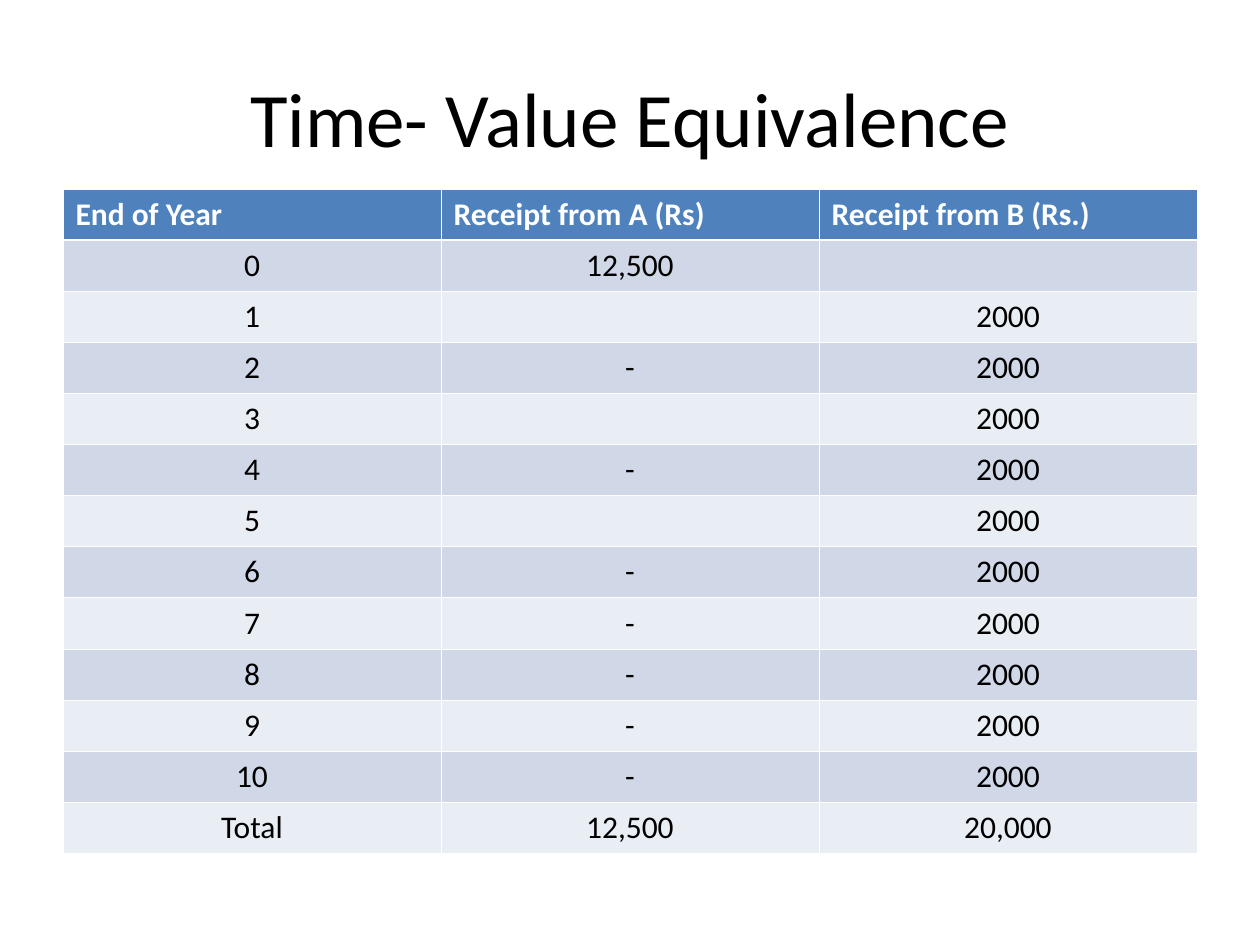
"""Build the time-value equivalence slide with its table of yearly receipts."""
from lxml import etree
from pptx import Presentation
from pptx.dml.color import RGBColor
from pptx.enum import text
from pptx.oxml import ns
from pptx.util import Cm, Pt

TITLE = "Time- Value Equivalence"
HEADINGS = ("End of Year", "Receipt from A (Rs)", "Receipt from B (Rs.)")
RECEIPTS = [
    ("0", "12,500", ""),
    ("1", "", "2000"),
    ("2", "-", "2000"),
    ("3", "", "2000"),
    ("4", "-", "2000"),
    ("5", "", "2000"),
    ("6", "-", "2000"),
    ("7", "-", "2000"),
    ("8", "-", "2000"),
    ("9", "-", "2000"),
    ("10", "-", "2000"),
    ("Total", "12,500", "20,000"),
]

FONT = "Calibri"
BLACK = RGBColor(0x00, 0x00, 0x00)
WHITE = RGBColor(0xFF, 0xFF, 0xFF)
HEADING_BLUE = RGBColor(0x4F, 0x81, 0xBD)
BANDS = (RGBColor(0xD0, 0xD8, 0xE8), RGBColor(0xE9, 0xED, 0xF4))

LEFT, WIDTH = Cm(1.27), Cm(22.86)
TITLE_TOP, TITLE_HEIGHT = Cm(0.76), Cm(3.18)
TABLE_TOP, ROW_HEIGHT = Cm(3.81), Cm(1.03)
THIN, THICK = Pt(0.45), Pt(1.47)


def style(paragraph, size, color, align, bold=False):
    paragraph.alignment = align
    font = paragraph.font
    font.name, font.size, font.bold = FONT, Pt(size), bold
    font.color.rgb = color


def add_borders(cell, top, bottom):
    properties = cell._tc.get_or_add_tcPr()
    for side, width in (("L", THIN), ("R", THIN), ("T", top), ("B", bottom)):
        line = etree.SubElement(properties, ns.qn(f"a:ln{side}"), w=str(width))
        fill = etree.SubElement(line, ns.qn("a:solidFill"))
        etree.SubElement(fill, ns.qn("a:srgbClr"), val=str(WHITE))


def add_title(slide):
    frame = slide.shapes.add_textbox(LEFT, TITLE_TOP, WIDTH, TITLE_HEIGHT).text_frame
    frame.word_wrap = True
    frame.vertical_anchor = text.MSO_ANCHOR.MIDDLE
    frame.text = TITLE
    style(frame.paragraphs[0], 44, BLACK, text.PP_ALIGN.CENTER)


def add_receipts(slide):
    rows = [HEADINGS, *RECEIPTS]
    table = slide.shapes.add_table(
        len(rows), len(HEADINGS), LEFT, TABLE_TOP, WIDTH, ROW_HEIGHT * len(rows)
    ).table
    for r, values in enumerate(rows):
        table.rows[r].height = ROW_HEIGHT
        heading = r == 0
        for c, value in enumerate(values):
            cell = table.cell(r, c)
            add_borders(cell, THICK if r == 1 else THIN, THICK if heading else THIN)
            cell.fill.solid()
            cell.fill.fore_color.rgb = HEADING_BLUE if heading else BANDS[(r - 1) % 2]
            cell.text = value
            align = text.PP_ALIGN.LEFT if heading else text.PP_ALIGN.CENTER
            style(cell.text_frame.paragraphs[0], 18, WHITE if heading else BLACK, align, heading)


def main():
    deck = Presentation()
    deck.slide_width, deck.slide_height = Cm(25.4), Cm(19.05)
    slide = deck.slides.add_slide(deck.slide_layouts[6])
    add_title(slide)
    add_receipts(slide)
    deck.save("out.pptx")


if __name__ == "__main__":
    main()
